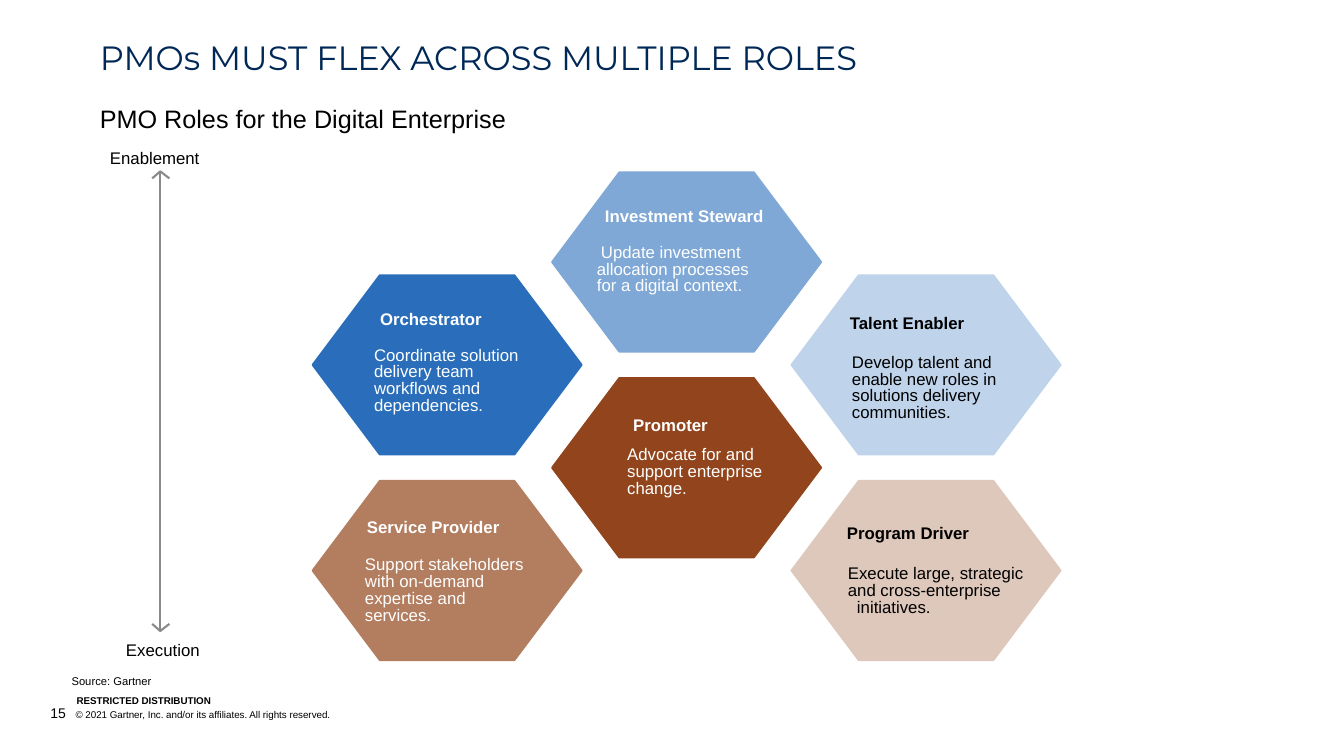
from collections import namedtuple

from lxml import etree
from pptx import Presentation
from pptx import util as u
from pptx.dml.color import RGBColor
from pptx.enum import shapes, text
from pptx.oxml.ns import qn

PX = 9144  # EMU per px, 100 px to the inch

COLORS = {
    "navy": "002856", "black": "000000", "white": "FEFFFE", "gray": "8A8A8C",
    "sky": "7FA8D6", "blue": "2A6EBB", "pale_blue": "BFD3EB",
    "brown": "92451C", "tan": "B37D60", "pale_tan": "DEC7BB",
}

HEXAGON_WIDTH, HEXAGON_HEIGHT = 267, 178
GRID_LEFT, GRID_TOP = 310, 171
COLUMN_STEP, ROW_STEP = 237.5, 102

Role = namedtuple("Role", "name column row fill ink heading body lines indent",
                  defaults=[(0, 0)])

ROLES = [
    Role("Program Driver", 2, 3, "pale_tan", "black", (840, 519), (841, 562, 200),
         ["Execute large, strategic", "and cross-enterprise initiatives."], (9, -9)),
    Role("Orchestrator", 0, 1, "blue", "white", (377, 306), (371, 345, 167),
         ["Coordinate solution delivery team workflows and dependencies."]),
    Role("Talent Enabler", 2, 1, "pale_blue", "black", (843, 310), (845, 352, 184),
         ["Develop talent and enable new roles in solutions delivery communities."]),
    Role("Service Provider", 0, 3, "tan", "white", (364, 513), (362, 553, 166),
         ["Support stakeholders with on-demand expertise and services."]),
    Role("Investment Steward", 1, 0, "sky", "white", (600, 204), (592, 243, 171),
         ["Update investment allocation processes for a digital context."], (0, 4)),
    Role("Promoter", 1, 2, "brown", "white", (628, 411), (622, 444, 135),
         ["Advocate for and support enterprise change."]),
]


def px(value):
    return u.Emu(round(value * PX))


def rgb(name):
    return RGBColor.from_string(COLORS[name])


def set_frame(frame, anchor=text.MSO_ANCHOR.TOP):
    """Fixed-size, wrapping text frame without insets."""
    frame.margin_left = frame.margin_top = frame.margin_right = frame.margin_bottom = 0
    frame.word_wrap = True
    frame.auto_size = text.MSO_AUTO_SIZE.NONE
    frame.vertical_anchor = anchor


def style_font(font, size, color="black", name="Arial", bold=False):
    font.size = u.Pt(size)
    font.name = name
    font.bold = bold
    font.color.rgb = rgb(color)


def set_indent(paragraph, left, first):
    properties = paragraph._p.get_or_add_pPr()
    properties.set("marL", str(px(left)))
    properties.set("indent", str(px(first)))


def add_label(slide, box, lines, size, color="black", bold=False,
              spacing=None, indent=(0, 0), anchor=text.MSO_ANCHOR.TOP):
    frame = slide.shapes.add_textbox(*map(px, box)).text_frame
    set_frame(frame, anchor)
    frame.text = "\n".join(lines)
    for paragraph in frame.paragraphs:
        set_indent(paragraph, *indent)
        if spacing:
            paragraph.line_spacing = u.Pt(spacing)
        for run in paragraph.runs:
            style_font(run.font, size, color, bold=bold)
    return frame


def add_title(slide, title_text):
    title = slide.shapes.title
    title.left, title.top, title.width, title.height = map(px, (99, 41, 1233, 49))
    set_frame(title.text_frame)
    title.text_frame.text = title_text
    paragraph = title.text_frame.paragraphs[0]
    paragraph.alignment = text.PP_ALIGN.LEFT
    paragraph.line_spacing = 0.9
    style_font(paragraph.runs[0].font, 24, "navy", "Montserrat")


def style_axis_line(line):
    line.color.rgb = rgb("gray")
    line.width = u.Pt(1.5)


def add_chevron(slide, tip_x, tip_y, base_y):
    builder = slide.shapes.build_freeform(tip_x - 8, base_y, scale=PX)
    builder.add_line_segments([(tip_x, tip_y), (tip_x + 9, base_y)], close=False)
    chevron = builder.convert_to_shape()
    chevron.shadow.inherit = False
    chevron.fill.background()
    style_axis_line(chevron.line)


def add_axis(slide, x, top, bottom):
    """Vertical double-headed arrow from enablement to execution."""
    axis = slide.shapes.add_connector(
        shapes.MSO_CONNECTOR.STRAIGHT, px(x), px(top), px(x), px(bottom))
    etree.SubElement(axis._element.spPr, qn("a:effectLst"))
    style_axis_line(axis.line)
    add_chevron(slide, x, top, top + 7)
    add_chevron(slide, x, bottom, bottom - 7)


def add_role(slide, role):
    hexagon = slide.shapes.add_shape(
        shapes.MSO_SHAPE.HEXAGON,
        px(GRID_LEFT + COLUMN_STEP * role.column),
        px(GRID_TOP + ROW_STEP * role.row),
        px(HEXAGON_WIDTH), px(HEXAGON_HEIGHT))
    hexagon.adjustments[0] = 0.375
    hexagon.shadow.inherit = False
    hexagon.fill.solid()
    hexagon.fill.fore_color.rgb = rgb(role.fill)
    hexagon.line.color.rgb = rgb(role.fill)
    hexagon.line.width = u.Pt(1.3)
    add_label(slide, (*role.heading, 180, 19), [role.name], 12, role.ink, bold=True)
    add_label(slide, (*role.body, 72), role.lines, 12, role.ink,
              spacing=12, indent=role.indent)


def add_footer(slide):
    bottom = text.MSO_ANCHOR.BOTTOM
    add_label(slide, (76, 689, 253, 12), ["RESTRICTED DISTRIBUTION"], 7,
              bold=True, anchor=bottom)
    frame = add_label(slide, (50, 699, 799, 17), ["15"], 10,
                      indent=(25, -25), anchor=bottom)
    copyright_run = frame.paragraphs[0].add_run()
    copyright_run.text = "\t© 2021 Gartner, Inc. and/or its affiliates. All rights reserved."
    style_font(copyright_run.font, 7)


def main():
    presentation = Presentation()
    presentation.slide_width, presentation.slide_height = px(1333), px(750)
    slide = presentation.slides.add_slide(presentation.slide_layouts[5])

    add_footer(slide)
    add_title(slide, "PMOs MUST FLEX ACROSS MULTIPLE ROLES")
    add_label(slide, (99, 103, 785, 30), ["PMO Roles for the Digital Enterprise"], 18)
    add_label(slide, (125, 635, 90, 23), ["Execution"], 12)
    add_label(slide, (71, 669, 137, 12), ["Source: Gartner"], 8)
    add_label(slide, (109, 147, 122, 19), ["Enablement"], 12)
    add_axis(slide, 159, 170, 626)
    for role in ROLES:
        add_role(slide, role)

    presentation.save("out.pptx")


if __name__ == "__main__":
    main()
